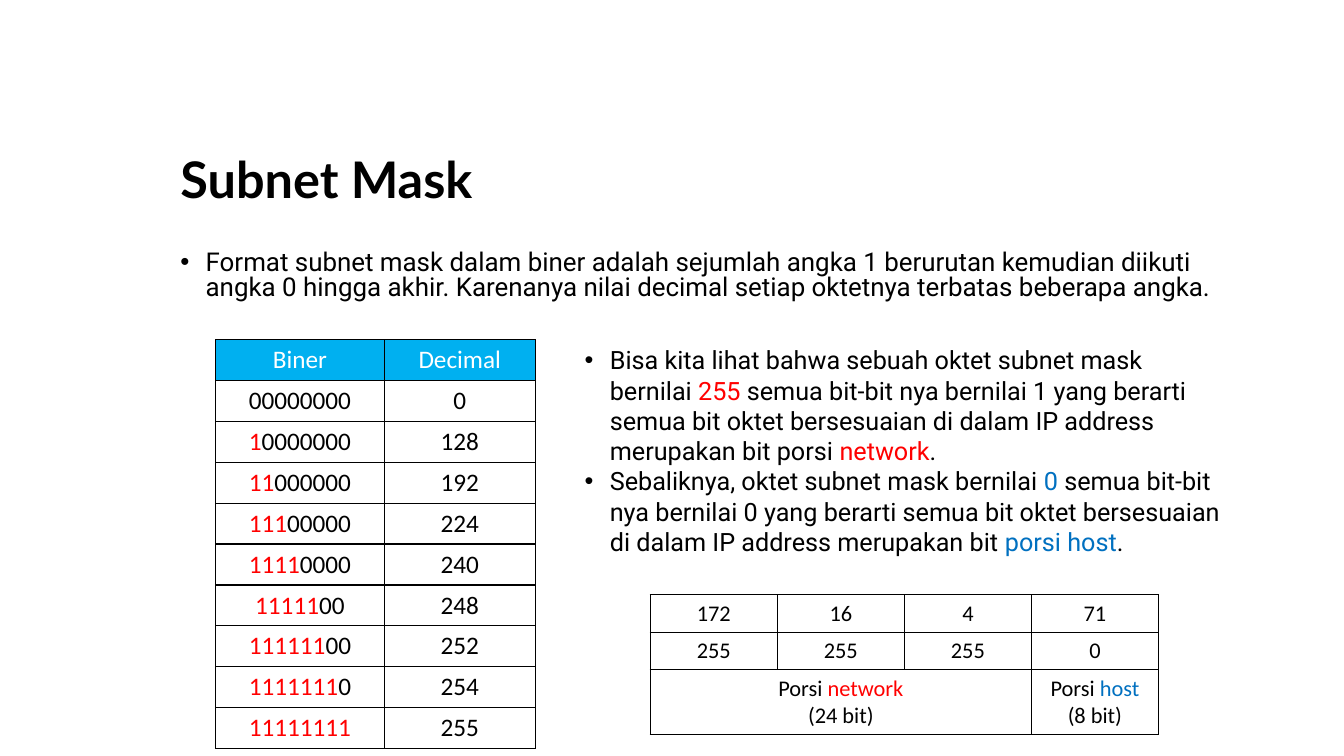
from dataclasses import dataclass

from lxml.etree import SubElement as Sub
from pptx import Presentation
from pptx.dml.color import RGBColor as Color
from pptx.enum.text import MSO_ANCHOR as Anchor, MSO_AUTO_SIZE as Fit, PP_ALIGN as Align
from pptx.oxml.ns import qn
from pptx.util import Inches, Pt


@dataclass(frozen=True)
class Theme:
    black: str = "000000"
    white: str = "FFFFFF"
    red: str = "FF0000"
    blue: str = "0070C0"
    head: str = "00B0F0"
    title: float = 36
    lead: float = 18.5
    text: float = 18
    small: float = 16


T = Theme()


def bullet(para):
    props = para._p.get_or_add_pPr()
    props.set("marL", str(Inches(0.25)))
    props.set("indent", str(Inches(-0.25)))
    Sub(props, qn("a:buFont"), typeface="Arial")
    Sub(props, qn("a:buChar"), char="•")


def write(frame, paras, size=T.text, font="Roboto", color=T.black,
          bold=False, align=Align.LEFT, line=1.0, dots=False):
    for i, parts in enumerate(paras):
        para = frame.add_paragraph() if i else frame.paragraphs[0]
        if dots:
            bullet(para)
        para.alignment = align
        para.line_spacing = line
        para.space_before = para.space_after = Pt(0)
        for part in parts:
            text, tint = part if isinstance(part, tuple) else (part, color)
            if not text:
                continue
            run = para.add_run()
            run.text = text
            run.font.name = font
            run.font.size = Pt(size)
            run.font.bold = bold
            run.font.color.rgb = Color.from_string(tint)


def place(shape, x, y, w, h):
    shape.left, shape.top, shape.width, shape.height = map(Inches, (x, y, w, h))
    frame = shape.text_frame
    frame.word_wrap = True
    frame.auto_size = Fit.NONE
    return frame


def border(cell):
    props = cell._tc.get_or_add_tcPr()
    for side in ("lnL", "lnR", "lnT", "lnB"):
        edge = Sub(props, qn(f"a:{side}"), w=str(Pt(1)))
        fill = Sub(edge, qn("a:solidFill"))
        Sub(fill, qn("a:srgbClr"), val=T.black)


def grid(slide, x, y, cols, highs, rows, size, head=False):
    box = (x, y, sum(cols), sum(highs))
    table = slide.shapes.add_table(len(highs), len(cols), *map(Inches, box)).table
    table.first_row = table.horz_banding = False
    for col, wide in zip(table.columns, cols):
        col.width = Inches(wide)
    for r, (row, high) in enumerate(zip(rows, highs)):
        table.rows[r].height = Inches(high)
        top = head and r == 0
        for c, paras in enumerate(row):
            cell = table.cell(r, c)
            border(cell)
            if top:
                cell.fill.solid()
                cell.fill.fore_color.rgb = Color.from_string(T.head)
            else:
                cell.fill.background()
            write(cell.text_frame, paras, size=size, font="Calibri",
                  color=T.white if top else T.black, align=Align.CENTER)
    return table


def octets():
    rows = [[[["Biner"]], [["Decimal"]]]]
    for ones in range(9):
        zeros = 2 if ones == 5 else 8 - ones
        bits = [("1" * ones, T.red), "0" * zeros]
        rows.append([[bits], [[str(256 - 2 ** (8 - ones))]]])
    return rows


def split():
    rows = [[[[num]] for num in line.split()] for line in ("172 16 4 71", "255 255 255 0")]
    net = [["Porsi ", ("network", T.red)], ["(24 bit)"]]
    host = [["Porsi ", ("host", T.blue)], ["(8 bit)"]]
    return rows + [[net, [], [], host]]


def main():
    deck = Presentation()
    deck.slide_width, deck.slide_height = Inches(13.33), Inches(7.5)
    slide = deck.slides.add_slide(deck.slide_layouts[1])

    title = place(slide.shapes.title, 1.69, 1.36, 10.66, 0.89)
    title.vertical_anchor = Anchor.MIDDLE
    write(title, [["Subnet Mask"]], size=T.title, font="Lato", bold=True, line=0.9)

    lead = place(slide.placeholders[1], 1.69, 2.45, 10.66, 0.89)
    write(lead, [["Format subnet mask dalam biner adalah sejumlah angka 1 berurutan "
                  "kemudian diikuti angka 0 hingga akhir. Karenanya nilai decimal "
                  "setiap oktetnya terbatas beberapa angka."]],
          size=T.lead, line=0.8, dots=True)

    grid(slide, 2.14, 3.37, [1.67, 1.5], [0.4] * 10, octets(), T.text, head=True)

    box = (5.7, 3.37, 6.51, 2.53)
    notes = place(slide.shapes.add_textbox(*map(Inches, box)), *box)
    write(notes, [
        ["Bisa kita lihat bahwa sebuah oktet subnet mask bernilai ", ("255 ", T.red),
         "semua bit-bit nya bernilai 1 yang berarti semua bit oktet bersesuaian "
         "di dalam IP address merupakan bit porsi ", ("network", T.red), "."],
        ["Sebaliknya, oktet subnet mask bernilai", (" 0 ", T.blue),
         "semua bit-bit nya bernilai 0 yang berarti semua bit oktet bersesuaian "
         "di dalam IP address merupakan bit ", ("porsi host", T.blue), "."],
    ], dots=True)

    table = grid(slide, 6.45, 5.9, [1.26] * 4, [0.33, 0.33, 0.57], split(), T.small)
    table.cell(2, 0).merge(table.cell(2, 2))

    deck.save("out.pptx")


if __name__ == "__main__":
    main()
